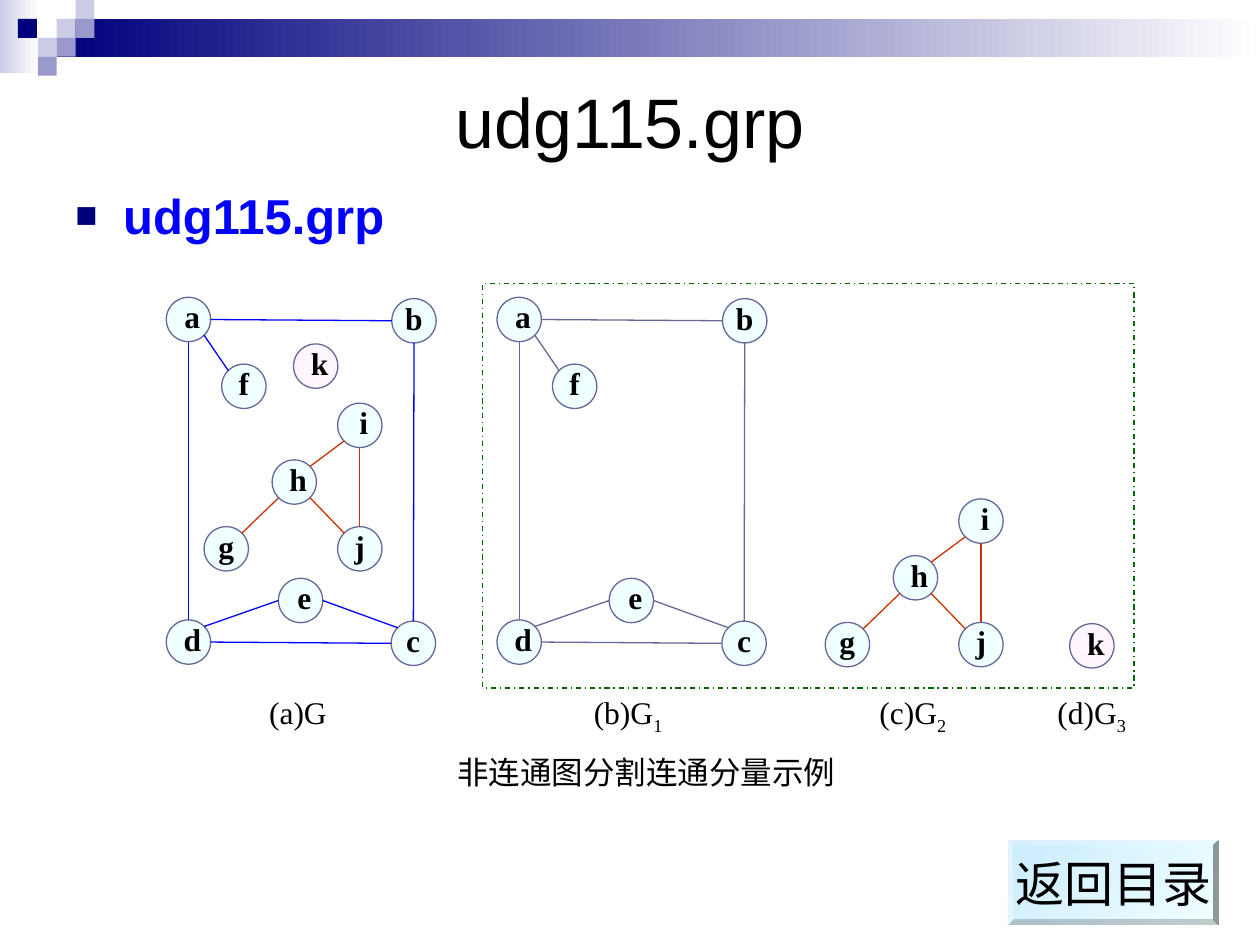
from dataclasses import dataclass
from lxml.etree import SubElement
from pptx import Presentation
from pptx.dml.color import RGBColor
from pptx.enum.dml import MSO_LINE
from pptx.enum.shapes import MSO_CONNECTOR, MSO_SHAPE
from pptx.enum.text import MSO_ANCHOR, PP_ALIGN
from pptx.oxml.ns import qn
from pptx.util import Inches, Pt


@dataclass(frozen=True)
class Theme:
    navy: str = "00007D"
    pale: str = "CCCCE6"
    mid: str = "9999CC"
    white: str = "FFFFFF"
    black: str = "000000"
    blue: str = "0000FF"
    slate: str = "666699"
    red: str = "CC3300"
    green: str = "006600"
    aqua: str = "F0FFFF"
    pink: str = "FFF5FF"
    sky: str = "CCECFF"
    sans: str = "Arial"
    serif: str = "Times New Roman"
    title: int = 40
    large: int = 28
    small: int = 18
    line: float = 0.75


T = Theme()
COLS, ROWS = 100, 75   # grid of the slide
CELL = 0.1             # inches per grid cell
TILE = 1.5             # header tile, in cells
NODE = 3.52            # node width, in cells

# Nodes of each component: column and row of the left top corner
MAIN = {"a": (13.2, 23.6), "b": (31.1, 23.7), "c": (31.05, 49.3),
        "d": (13.2, 49.2), "e": (22.1, 45.9), "f": (17.6, 28.9)}
SUB = {"g": (16.2, 41.8), "h": (21.6, 36.5), "i": (26.8, 32),
       "j": (26.8, 41.8)}
LONE = {"k": (23.3, 27.3)}

# Edges: from node and port, to node and port
MAIN_EDGES = ["a e b w", "b s c n", "a se f nw", "a s d n",
              "d e c w", "d ne e w", "e e c nw"]
SUB_EDGES = ["i s j n", "g ne h sw", "h ne i sw", "j nw h se"]

# Ports as shares of the node's box
LOW, HIGH = 0.15, 0.85
PORTS = {"n": (0.5, 0), "s": (0.5, 1), "w": (0, 0.5), "e": (1, 0.5),
         "nw": (LOW, LOW), "ne": (HIGH, LOW),
         "sw": (LOW, HIGH), "se": (HIGH, HIGH)}


def grid(*cells):
    return [Inches(n * CELL) for n in cells]


def rgb(tone):
    return RGBColor.from_string(tone)


def shape(slide, kind, box, fill=None, line=None, angle=0):
    """Fill is a colour, a pair of gradient colours, or None."""
    item = slide.shapes.add_shape(kind, *grid(*box))
    item.shadow.inherit = False
    if fill is None:
        item.fill.background()
    elif isinstance(fill, tuple):
        item.fill.gradient()
        item.fill.gradient_angle = angle
        for stop, tone in zip(item.fill.gradient_stops, fill):
            stop.color.rgb = rgb(tone)
    else:
        item.fill.solid()
        item.fill.fore_color.rgb = rgb(fill)
    if line:
        item.line.color.rgb = rgb(line)
        item.line.width = Pt(T.line)
    else:
        item.line.fill.background()
    return item


def write(item, runs, font, size, tone=T.black, bold=False,
          align=PP_ALIGN.CENTER, anchor=MSO_ANCHOR.TOP, wrap=True):
    """Runs are pairs of text and a flag for subscript."""
    frame = item.text_frame
    frame.word_wrap = wrap
    frame.vertical_anchor = anchor
    para = frame.paragraphs[0]
    para.alignment = align
    for text, sub in runs:
        run = para.add_run()
        run.text = text
        run.font.name = font
        run.font.size = Pt(size)
        run.font.bold = bold
        run.font.color.rgb = rgb(tone)
        if sub:
            run.font._element.set("baseline", "-25000")
    return frame


def label(slide, box, runs, *style, **more):
    return write(slide.shapes.add_textbox(*grid(*box)), runs, *style, **more)


def bullet(para, tone):
    props = para._p.get_or_add_pPr()
    props.set("marL", str(Inches(0.38)))
    props.set("indent", str(-Inches(0.38)))
    color = SubElement(props, qn("a:buClr"))
    SubElement(color, qn("a:srgbClr")).set("val", tone)
    SubElement(props, qn("a:buSzPct")).set("val", "75000")
    SubElement(props, qn("a:buFont")).set("typeface", T.sans)
    SubElement(props, qn("a:buChar")).set("char", "■")


def node(slide, name, col, row, fill):
    shape(slide, MSO_SHAPE.OVAL, (col, row, NODE, NODE), fill, T.slate)
    shift = 0.55 if name in "bcfgj" else 0.87
    frame = label(slide, (col + shift, row, 2.4, 2.9), [(name, False)],
                  T.serif, T.small, bold=True)
    frame.margin_left = frame.margin_right = 0
    frame.margin_top = frame.margin_bottom = 0


def edge(slide, start, end, tone):
    line = slide.shapes.add_connector(MSO_CONNECTOR.STRAIGHT,
                                      *grid(*start, *end))
    line.line.color.rgb = rgb(tone)
    line.line.width = Pt(T.line)
    SubElement(line._element.spPr, qn("a:effectLst"))


def graph(slide, nodes, edges=(), tone=T.slate, fill=T.aqua, dx=0, dy=0):
    spots = {name: (x + dx, y + dy) for name, (x, y) in nodes.items()}
    for name, (col, row) in spots.items():
        node(slide, name, col, row, fill)

    def port(name, side):
        return [at + NODE * part for at, part in zip(spots[name], PORTS[side])]

    for item in edges:
        first, out, last, into = item.split()
        edge(slide, port(first, out), port(last, into), tone)


def header(slide):
    bars = [(0, 0, 3.1, 5.8, T.pale), (4.5, TILE, 95.5, 3, T.navy)]
    for *box, tone in bars:
        shape(slide, MSO_SHAPE.RECTANGLE, box, (tone, T.white))
    tiles = [(3, 1, T.pale), (4, 0, T.pale), (4, 1, T.mid), (2, 2, T.pale),
             (0.95, 1, T.navy), (3, 2, T.mid), (2, 3, T.mid)]
    for col, row, tone in tiles:
        box = (col * TILE, row * TILE, TILE, TILE)
        shape(slide, MSO_SHAPE.RECTANGLE, box, tone)


def main():
    deck = Presentation()
    deck.slide_width, deck.slide_height = grid(COLS, ROWS)
    slide = deck.slides.add_slide(deck.slide_layouts[6])

    # Header, title and bullet
    header(slide)
    name = [("udg115.grp", False)]
    label(slide, (5, 5, 90, 9.2), name, T.sans, T.title,
          anchor=MSO_ANCHOR.MIDDLE)
    body = label(slide, (5, 14.2, 90, 53.3), name, T.sans, T.large, T.blue,
                 bold=True, align=PP_ALIGN.LEFT)
    body.paragraphs[0].space_before = Pt(7)
    bullet(body.paragraphs[0], T.navy)

    # Whole graph
    graph(slide, MAIN, MAIN_EDGES, T.blue)
    graph(slide, SUB, SUB_EDGES, T.red)
    graph(slide, LONE, fill=T.pink)

    # Its three components, in a dashed frame
    graph(slide, MAIN, MAIN_EDGES, dx=26.25)
    graph(slide, SUB, SUB_EDGES, T.red, dx=49.3, dy=7.6)
    graph(slide, LONE, fill=T.pink, dx=61.6, dy=22.2)
    frame = shape(slide, MSO_SHAPE.RECTANGLE, (38.3, 22.5, 51.7, 32.1),
                  line=T.green)
    frame.line.dash_style = MSO_LINE.DASH_DOT

    # Captions
    for col, text, sub in [(19.5, "(a)G", ""), (45.7, "(b)G", "1"),
                           (68.3, "(c)G", "2"), (82.5, "(d)G", "3")]:
        runs = [(text, False)] + ([(sub, True)] if sub else [])
        label(slide, (col, 54.5, 8.3, 4.4), runs, T.serif, T.small)
    label(slide, (32.9, 59.3, 36.8, 4.4),
          [("非连通图分割连通分量示例", False)], T.serif, T.small)

    # Return button
    button = shape(slide, MSO_SHAPE.BEVEL, (80, 66.7, 16.7, 6.7),
                   (T.sky, T.aqua), angle=315)
    button.adjustments[0] = 0.06
    write(button, [("返回目录", False)], T.sans, T.large,
          anchor=MSO_ANCHOR.MIDDLE, wrap=False)

    deck.save("out.pptx")


if __name__ == "__main__":
    main()
